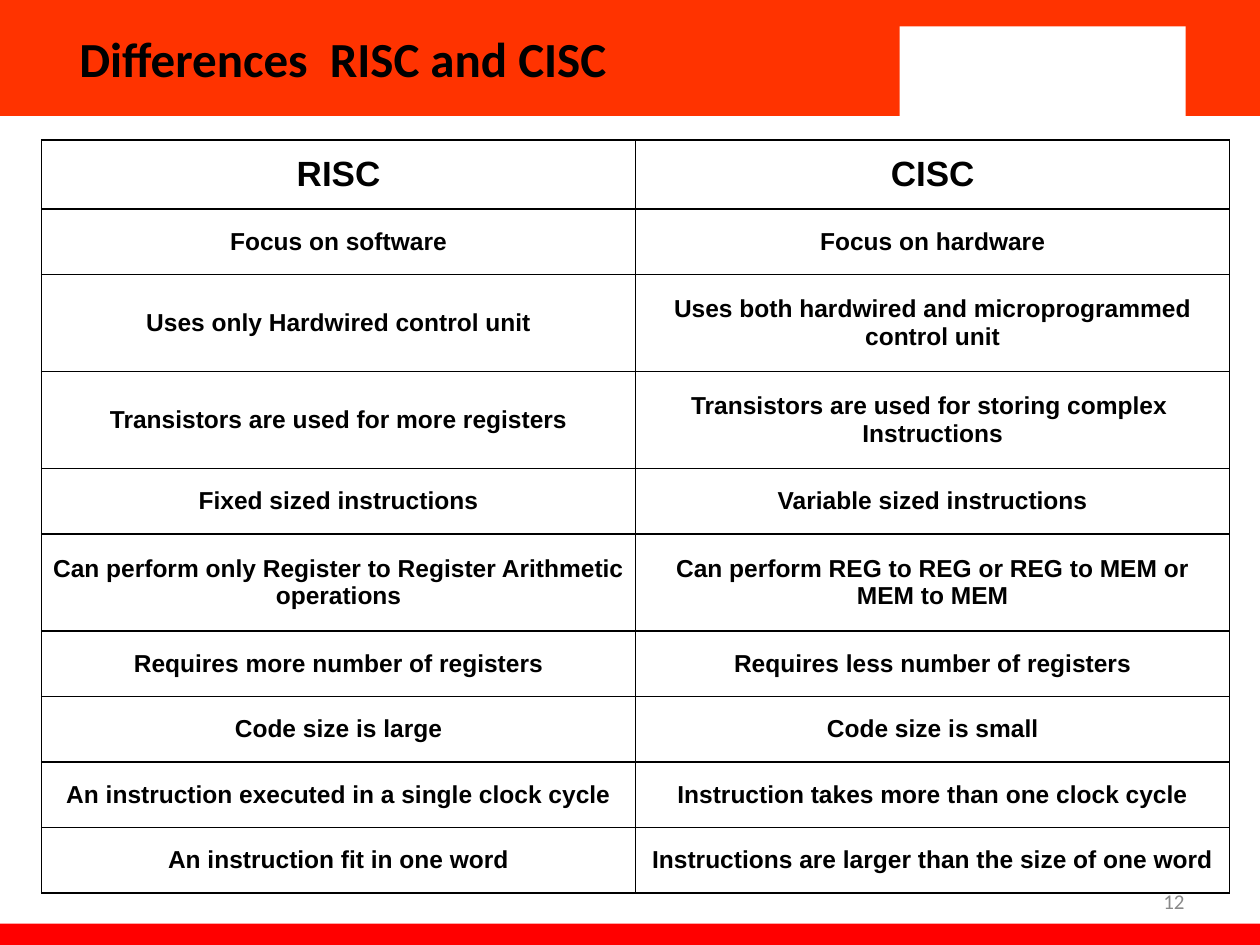
from lxml import etree
from pptx import Presentation
from pptx.dml.color import RGBColor
from pptx.enum.shapes import MSO_SHAPE
from pptx.enum.text import MSO_ANCHOR, PP_ALIGN
from pptx.oxml.ns import qn
from pptx.util import Inches, Pt

RECT = MSO_SHAPE.RECTANGLE
MIDDLE = MSO_ANCHOR.MIDDLE
LEFT, CENTER, RIGHT = PP_ALIGN.LEFT, PP_ALIGN.CENTER, PP_ALIGN.RIGHT

COLS, ROWS = 100, 75
TITLE_ONLY = 5

COMPARISON = [
    ("RISC", "CISC"),
    ("Focus on software", "Focus on hardware"),
    ("Uses only Hardwired control unit",
     "Uses both hardwired and microprogrammed control unit"),
    ("Transistors are used for more registers",
     "Transistors are used for storing complex \nInstructions"),
    ("Fixed sized instructions", "Variable sized instructions"),
    ("Can perform only Register to Register Arithmetic operations",
     "Can perform REG to REG or REG to MEM or MEM to MEM"),
    ("Requires more number of registers", "Requires less number of registers"),
    ("Code size is large", "Code size is small"),
    ("An instruction executed in a single clock cycle",
     "Instruction takes more than one clock cycle"),
    ("An instruction fit in one word",
     "Instructions are larger than the size of one word"),
]
HEADER_ROW, SINGLE_ROW, DOUBLE_ROW = 5.5, 5.2, 7.7
DOUBLE_ROWS = {2, 3, 5}


def rgb(color):
    return RGBColor.from_string(color)


def write(tf, text, font="Arial", size=14, color="000000", bold=False, align=LEFT):
    p = tf.paragraphs[0]
    p.alignment = align
    for i, line in enumerate(text.split("\n")):
        if i:
            p.add_line_break()
        r = p.add_run()
        r.text = line
        r.font.name, r.font.size, r.font.bold = font, Pt(size), bold
        r.font.color.rgb = rgb(color)


def add_borders(cell, color="000000", width=1):
    tcPr = cell._tc.get_or_add_tcPr()
    for i, side in enumerate(("a:lnL", "a:lnR", "a:lnT", "a:lnB")):
        ln = etree.Element(qn(side), w=str(Pt(width)))
        fill = etree.SubElement(ln, qn("a:solidFill"))
        etree.SubElement(fill, qn("a:srgbClr"), val=color)
        tcPr.insert(i, ln)


class Deck:
    heading_font = "Calibri"
    band, footer, paper = "FF3300", "FF0000", "FFFFFF"

    def __init__(self):
        self.prs = Presentation()
        self.prs.slide_width, self.prs.slide_height = Inches(10), Inches(7.5)
        self.s = self.prs.slides.add_slide(self.prs.slide_layouts[TITLE_ONLY])

    def x(self, cols):
        return round(self.prs.slide_width * cols / COLS)

    def y(self, rows):
        return round(self.prs.slide_height * rows / ROWS)

    def box(self, left, top, width, height):
        return self.x(left), self.y(top), self.x(width), self.y(height)

    def rect(self, *place, fill):
        sp = self.s.shapes.add_shape(RECT, *self.box(*place))
        sp.shadow.inherit = False
        sp.fill.solid()
        sp.fill.fore_color.rgb = rgb(fill)
        sp.line.fill.background()

    def title(self, text, *place):
        sp = self.s.shapes.title
        sp.left, sp.top, sp.width, sp.height = self.box(*place)
        sp.element.getparent().append(sp.element)
        sp.text_frame.vertical_anchor = MIDDLE
        write(sp.text_frame, text, font=self.heading_font, size=28, bold=True)

    def page_number(self, text, *place):
        tf = self.s.shapes.add_textbox(*self.box(*place)).text_frame
        tf.word_wrap = True
        tf.vertical_anchor = MIDDLE
        write(tf, text, font=self.heading_font, size=12, color="898989", align=RIGHT)

    def table(self, rows, heights, left, top, width):
        place = self.box(left, top, width, sum(heights))
        table = self.s.shapes.add_table(len(rows), len(rows[0]), *place).table
        for col in table.columns:
            col.width = self.x(width / len(rows[0]))
        for i, (texts, height) in enumerate(zip(rows, heights)):
            table.rows[i].height = self.y(height)
            for j, text in enumerate(texts):
                self.cell(table.cell(i, j), text, header=i == 0)

    def cell(self, cell, text, header):
        cell.fill.solid()
        cell.fill.fore_color.rgb = rgb(self.paper)
        cell.vertical_anchor = MIDDLE
        cell.margin_left = cell.margin_right = Inches(0.09)
        cell.margin_top = cell.margin_bottom = Inches(0.09 if header else 0.13)
        write(cell.text_frame, text, size=20 if header else 14, bold=True, align=CENTER)
        add_borders(cell)


def main():
    deck = Deck()
    deck.rect(0, 0, COLS, 9.2, fill=deck.band)
    deck.rect(0, 73.3, COLS, ROWS - 73.3, fill=deck.footer)
    deck.rect(71.4, 2.1, 22.7, 7.5, fill=deck.paper)
    deck.title("Differences  RISC and CISC", 5.3, 0, 65.5, 9.2)
    deck.page_number("12", 71.7, 69.5, 23.3, 4)
    heights = [HEADER_ROW] + [DOUBLE_ROW if i in DOUBLE_ROWS else SINGLE_ROW
                              for i in range(1, len(COMPARISON))]
    deck.table(COMPARISON, heights, 3.3, 11.1, 94.3)
    deck.prs.save("out.pptx")


if __name__ == "__main__":
    main()
